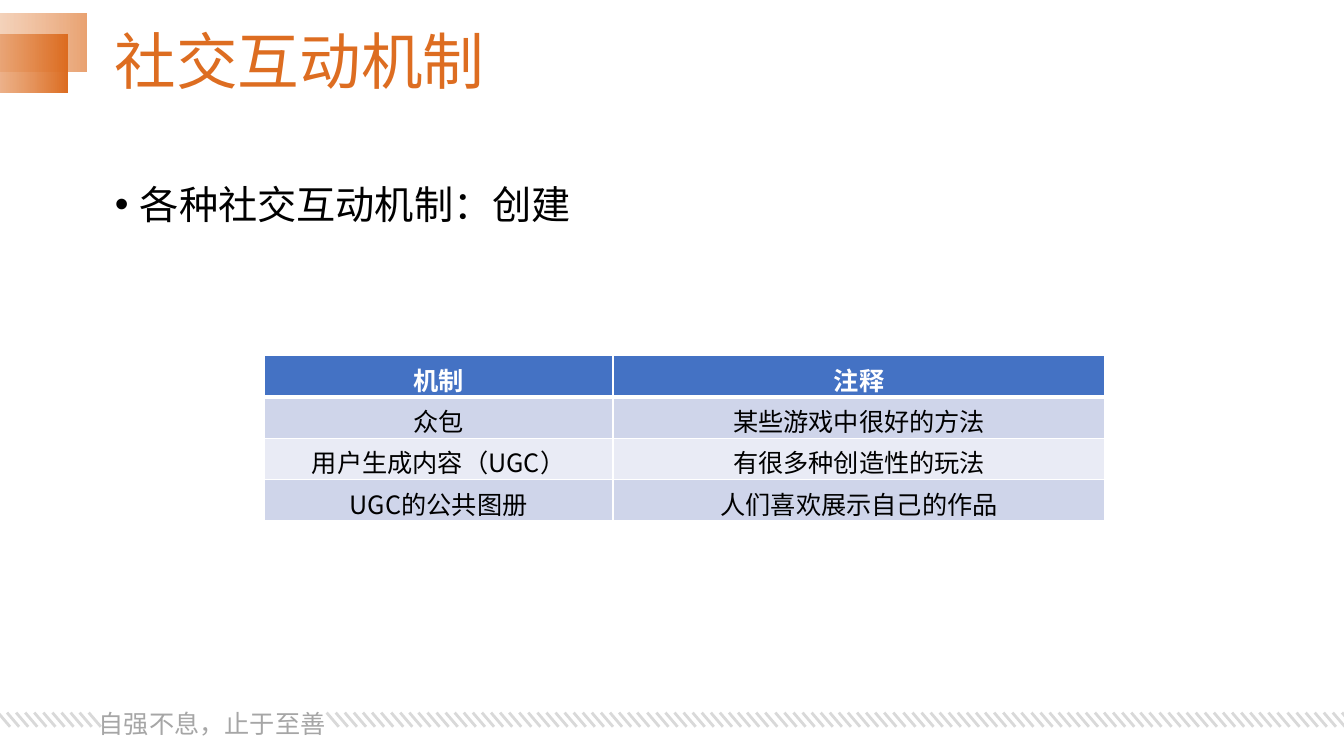
from dataclasses import dataclass

from lxml import etree
from pptx import Presentation
from pptx import util as u
from pptx.dml.color import RGBColor
from pptx.enum import shapes, text
from pptx.oxml import ns

SCALE = 9144  # EMU in one px, 100 px to the inch


@dataclass(frozen=True)
class Theme:
    accent: str = "DD6D21"
    accent_soft: str = "EAA372"
    ink: str = "000000"
    white: str = "FFFFFF"
    motto: str = "A6A6A6"
    hatch: str = "D9D9D9"
    header: str = "4472C4"
    bands: tuple = ("CFD5EA", "E9EBF5")
    font: str = "Noto Sans CJK SC"
    motto_font: str = "Noto Sans CJK JP"
    title_size: int = 44
    body_size: int = 28
    small_size: int = 18


def px(value):
    return u.Emu(value * SCALE)


def child(parent, tag, **attributes):
    return etree.SubElement(parent, ns.qn(tag), attributes)


class SlideBuilder:
    def __init__(self, page, theme):
        self.page = page
        self.theme = theme

    def add_span(self, para, words, size, color, font=None, bold=False):
        span = para.add_run()
        span.text = words
        span.font.size = u.Pt(size)
        span.font.bold = bold
        span.font.color.rgb = RGBColor.from_string(color)
        span.font.name = font or self.theme.font
        latin = span.font._element.find(ns.qn("a:latin"))
        east_asian = etree.Element(ns.qn("a:ea"), typeface=span.font.name)
        latin.addnext(east_asian)

    def text_box(self, left, top, width, height, spacing,
                 anchor=text.MSO_ANCHOR.TOP, fit=text.MSO_AUTO_SIZE.NONE):
        box = self.page.shapes.add_textbox(px(left), px(top), px(width), px(height))
        frame = box.text_frame
        frame.word_wrap = True
        frame.auto_size = fit
        frame.vertical_anchor = anchor
        para = frame.paragraphs[0]
        para.line_spacing = spacing
        return para

    def bullet(self, para, indent):
        props = para._p.get_or_add_pPr()
        props.set("marL", str(px(indent)))
        props.set("indent", str(-px(indent)))
        child(props, "a:buFont", typeface="Arial")
        child(props, "a:buChar", char="•")

    def fading_block(self, left, top, width, height, color, start_opacity):
        block = self.page.shapes.add_shape(
            shapes.MSO_SHAPE.RECTANGLE, px(left), px(top), px(width), px(height))
        block.shadow.inherit = False
        block.line.fill.background()
        block.fill.gradient()
        block.fill.gradient_angle = 0
        first, last = block.fill.gradient_stops
        first.position, last.position = 0, 1
        first.color.rgb = RGBColor.from_string(self.theme.white)
        last.color.rgb = RGBColor.from_string(color)
        white = next(block._element.iter(ns.qn("a:srgbClr")))
        child(white, "a:alpha", val=str(start_opacity * 1000))

    def hatching(self, first, last, count, top=707, width=12, height=14):
        for index in range(count):
            left = first + round((last - first) * index / (count - 1))
            stroke = self.page.shapes.add_connector(
                shapes.MSO_CONNECTOR.STRAIGHT, px(left), px(top),
                px(left + width), px(top + height))
            stroke.line.color.rgb = RGBColor.from_string(self.theme.hatch)
            stroke.line.width = u.Pt(2)
            child(stroke._element.spPr, "a:effectLst")

    def borders(self, cell, **widths):
        props = cell._tc.get_or_add_tcPr()
        for side in "LRTB":
            line = child(props, f"a:ln{side}", w=str(u.Pt(widths.get(side, 1))))
            fill = child(line, "a:solidFill")
            child(fill, "a:srgbClr", val=self.theme.white)

    def table(self, left, top, columns, row_height, rows):
        theme = self.theme
        frame = self.page.shapes.add_table(
            len(rows), len(columns), px(left), px(top),
            px(sum(columns)), px(row_height * len(rows)))
        grid = frame.table
        grid.horz_banding = False
        for column, width in zip(grid.columns, columns):
            column.width = px(width)
        for r, row in enumerate(rows):
            grid.rows[r].height = px(row_height)
            is_header = r == 0
            background = theme.header if is_header else theme.bands[(r - 1) % 2]
            for c, words in enumerate(row):
                cell = grid.cell(r, c)
                self.borders(cell, T=3 if r == 1 else 1, B=3 if is_header else 1)
                cell.fill.solid()
                cell.fill.fore_color.rgb = RGBColor.from_string(background)
                para = cell.text_frame.paragraphs[0]
                para.alignment = text.PP_ALIGN.CENTER
                self.add_span(para, words, theme.small_size,
                              theme.white if is_header else theme.ink, bold=is_header)


def main():
    deck = Presentation()
    deck.slide_width, deck.slide_height = px(1333), px(750)
    theme = Theme()
    slide = SlideBuilder(deck.slides.add_slide(deck.slide_layouts[6]), theme)

    # Corner blocks
    slide.fading_block(-159, 13, 245, 58, theme.accent_soft, 25)
    slide.fading_block(-178, 34, 245, 58, theme.accent, 0)

    # Footer: hatching on both sides of the motto
    slide.hatching(-2, 88, 11)
    motto = slide.text_box(88, 683, 246, 52, 1.5,
                           fit=text.MSO_AUTO_SIZE.SHAPE_TO_FIT_TEXT)
    motto.alignment = text.PP_ALIGN.JUSTIFY
    slide.add_span(motto, "自强不息，止于至善", theme.small_size, theme.motto, theme.motto_font)
    slide.hatching(324, 1331, 112)

    # Title and body
    title = slide.text_box(104, 11, 1150, 107, 0.9, text.MSO_ANCHOR.MIDDLE)
    slide.add_span(title, "社交互动机制", theme.title_size, theme.accent)
    body = slide.text_box(104, 179, 1150, 484, 0.9)
    slide.bullet(body, 25)
    slide.add_span(body, "各种社交互动机制：创建", theme.body_size, theme.ink)

    # Table of mechanisms
    slide.table(262, 353, (346, 488), 41, [
        ("机制", "注释"),
        ("众包", "某些游戏中很好的方法"),
        ("用户生成内容（UGC）", "有很多种创造性的玩法"),
        ("UGC的公共图册", "人们喜欢展示自己的作品"),
    ])

    deck.save("out.pptx")


if __name__ == "__main__":
    main()
